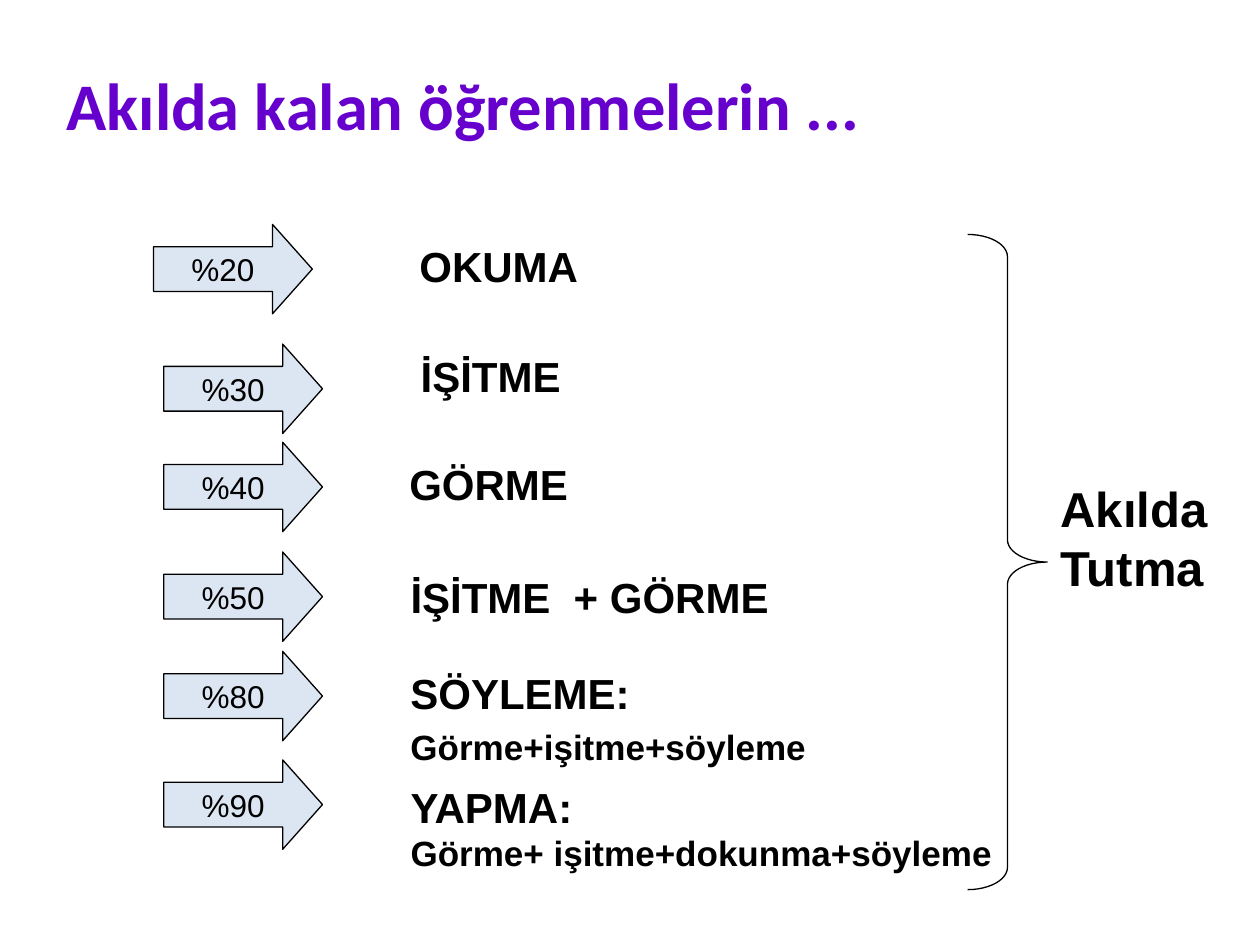
from lxml import etree
from pptx import Presentation
from pptx.dml.color import RGBColor
from pptx.enum.shapes import MSO_SHAPE
from pptx.enum.text import MSO_ANCHOR, PP_ALIGN
from pptx.util import Pt

ARROW = MSO_SHAPE.RIGHT_ARROW
BRACE = MSO_SHAPE.RIGHT_BRACE
MIDDLE = MSO_ANCHOR.MIDDLE
CENTER = PP_ALIGN.CENTER
BLACK = "000000"
PALE_BLUE = "DCE6F2"
PURPLE = "6600CC"


def color(value):
    return RGBColor.from_string(value)


def add_run(p, text, size, bold=True, font="Arial", fill=BLACK):
    r = p.add_run()
    r.text = text
    r.font.size = Pt(size)
    r.font.bold = bold
    r.font.name = font
    r.font.color.rgb = color(fill)


def add_text(s, x, y, w, h, lines, gap=0, wrap=False):
    tf = s.shapes.add_textbox(Pt(x), Pt(y), Pt(w), Pt(h)).text_frame
    tf.word_wrap = wrap
    for i, (text, size) in enumerate(lines):
        p = tf.add_paragraph() if i else tf.paragraphs[0]
        if i and gap:
            p.space_before = Pt(gap)
        add_run(p, text, size)
    return tf


def add_outline(s, kind, x, y, w, h, adjustments):
    sp = s.shapes.add_shape(kind, Pt(x), Pt(y), Pt(w), Pt(h))
    sp.shadow.inherit = False
    sp.line.color.rgb = color(BLACK)
    sp.line.width = Pt(0.75)
    for i, value in enumerate(adjustments):
        sp.adjustments[i] = value
    return sp


def add_arrow(s, x, y, text):
    sp = add_outline(s, ARROW, x, y, 90.7, 51.1, (0.5, 0.445))
    sp.fill.solid()
    sp.fill.fore_color.rgb = color(PALE_BLUE)
    tf = sp.text_frame
    tf.word_wrap = False
    tf.vertical_anchor = MIDDLE
    p = tf.paragraphs[0]
    p.alignment = CENTER
    add_run(p, text, 18, bold=False)


def add_brace(s):
    sp = add_outline(s, BRACE, 553, 134, 45.4, 374.4, (0.28, 0.5))
    sp.fill.background()


def add_title(s, text):
    tf = add_text(s, 31, 38.2, 648, 90, [], wrap=True)
    p = tf.paragraphs[0]
    p.line_spacing = 0.9
    add_run(p, text, 38, font="Calibri", fill=PURPLE)


def main():
    prs = Presentation()
    prs.slide_width, prs.slide_height = Pt(720), Pt(540)
    s = prs.slides.add_slide(prs.slide_layouts[6])

    add_title(s, "Akılda kalan öğrenmelerin ...")

    arrows = [
        (87.8, 128.2, "%20"),
        (93.6, 196.6, "%30"),
        (93.6, 252.7, "%40"),
        (93.6, 315.4, "%50"),
        (93.6, 372.2, "%80"),
        (93.6, 434.2, "%90"),
    ]
    for x, y, text in arrows:
        add_arrow(s, x, y, text)

    labels = [
        (232.6, 134, 105, 36, [("OKUMA", 24)], 0),
        (233.3, 196.6, 94.3, 36, [("İŞİTME", 24)], 0),
        (226.8, 258.5, 105, 36, [("GÖRME", 24)], 0),
        (227.5, 323.3, 219.6, 36, [("İŞİTME  + GÖRME", 24)], 0),
        (227.5, 378, 254.2, 64.8,
         [("SÖYLEME:", 24), ("Görme+işitme+söyleme", 20)], 4),
        (227.5, 442.8, 347, 59.8,
         [("YAPMA:", 24), ("Görme+ işitme+dokunma+söyleme", 20)], 0),
        (599, 270, 106.6, 74.9, [("Akılda", 28), ("Tutma", 28)], 0),
    ]
    for label in labels:
        add_text(s, *label)

    add_brace(s)
    prs.save("out.pptx")


if __name__ == "__main__":
    main()
